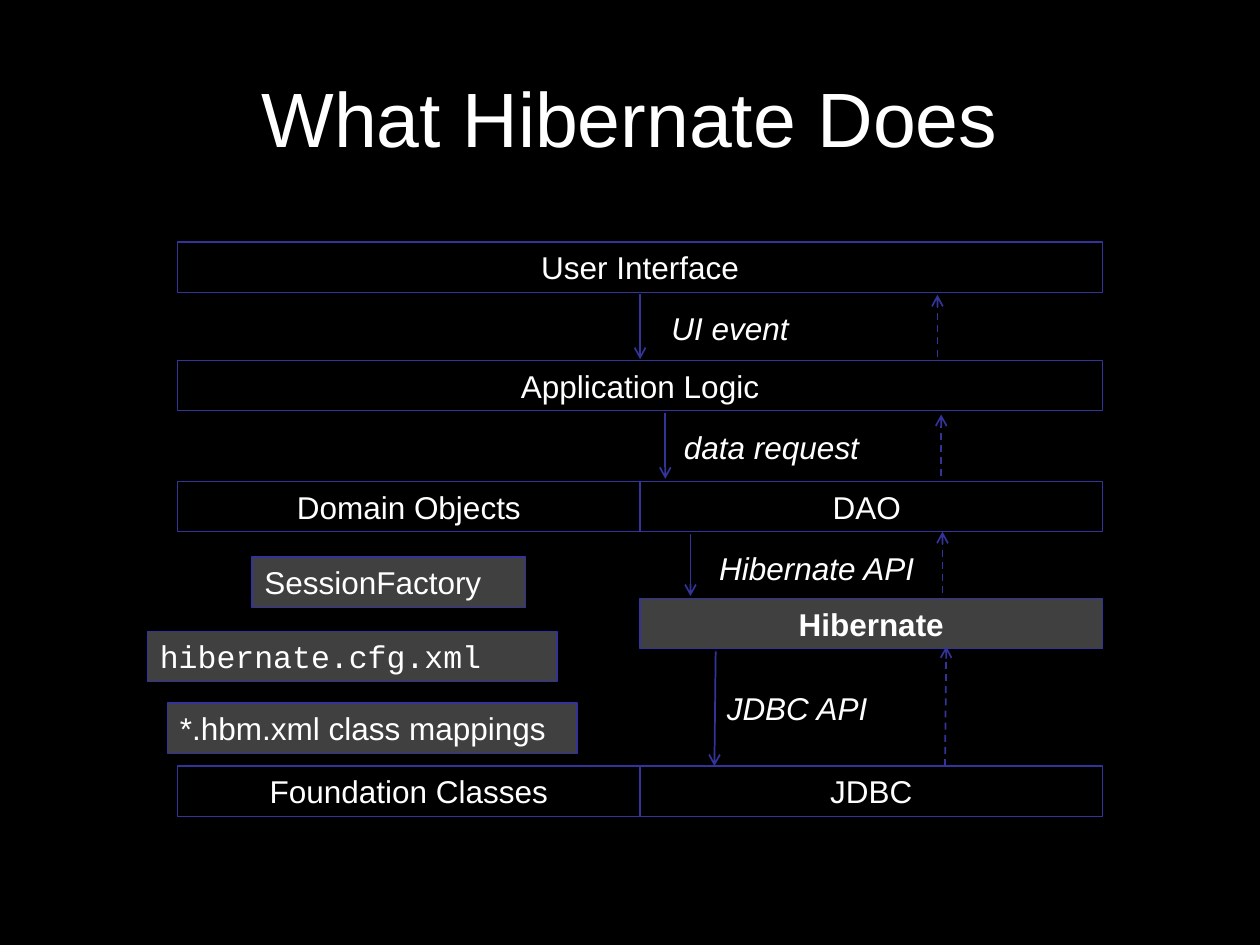
from lxml import etree
from pptx import Presentation
from pptx.dml.color import RGBColor
from pptx.enum.dml import MSO_LINE
from pptx.enum.shapes import MSO_CONNECTOR, MSO_SHAPE
from pptx.enum.text import MSO_ANCHOR, PP_ALIGN
from pptx.oxml.ns import qn
from pptx.util import Inches, Pt

RECT, LINE = MSO_SHAPE.RECTANGLE, MSO_CONNECTOR.STRAIGHT
DASH, MIDDLE = MSO_LINE.DASH, MSO_ANCHOR.MIDDLE
CENTER, LEFT = PP_ALIGN.CENTER, PP_ALIGN.LEFT

COLORS = {"back": "000000", "text": "FFFFFF", "edge": "333399", "gray": "404040"}
SANS, MONO = "Arial", "Courier New"
TITLE = "What Hibernate Does"

# Layer grid: two columns, one row top per layer
X0, COL, BOX_H = 1.41, 3.67, 0.4
ROWS = [1.92, 2.86, 3.82, 4.75, 6.08]

# text, row, first column, columns spanned
LAYERS = [
    ("User Interface", 0, 0, 2),
    ("Application Logic", 1, 0, 2),
    ("Domain Objects", 2, 0, 1),
    ("DAO ", 2, 1, 1),
    ("Hibernate", 3, 1, 1),
    ("JDBC", 4, 1, 1),
    ("Foundation Classes", 4, 0, 1),
]
# text, left, top, width, font
FILES = [
    ("SessionFactory", 2, 4.42, 2.17, SANS),
    ("hibernate.cfg.xml", 1.17, 5.01, 3.25, MONO),
    ("*.hbm.xml class mappings", 1.33, 5.58, 3.25, SANS),
]
# text, left, top, width
CALLS = [
    ("UI event", 5.23, 2.4, 1.3),
    ("data request", 5.33, 3.35, 1.62),
    ("Hibernate API", 5.61, 4.31, 1.89),
    ("JDBC API", 5.67, 5.42, 1.7),
]
# start x, start y, end x, end y
DOWN = [
    (5.08, 2.33, 5.08, 2.85),
    (5.28, 3.28, 5.28, 3.8),
    (5.48, 4.24, 5.48, 4.73),
    (5.68, 5.17, 5.67, 6.08),
]
UP = [
    (7.44, 2.83, 7.44, 2.34),
    (7.47, 3.78, 7.47, 3.29),
    (7.48, 4.71, 7.48, 4.22),
    (7.5, 6.08, 7.51, 5.13),
]


def rgb(name):
    return RGBColor.from_string(COLORS[name])


def write(shape, text, align=LEFT, size=18, font=SANS, bold=False, italic=False):
    frame = shape.text_frame
    frame.word_wrap = True
    frame.vertical_anchor = MIDDLE
    frame.text = text
    para = frame.paragraphs[0]
    para.alignment = align
    face = para.runs[0].font
    face.name, face.size = font, Pt(size)
    face.bold, face.italic = bold, italic
    face.color.rgb = rgb("text")


def label(slide, text, x, y, w, h=BOX_H, **style):
    box = slide.shapes.add_textbox(*map(Inches, (x, y, w, h)))
    write(box, text, **style)


def block(slide, text, x, y, w, fill=None, **style):
    box = slide.shapes.add_shape(RECT, *map(Inches, (x, y, w, BOX_H)))
    box.shadow.inherit = False
    if fill:
        box.fill.solid()
        box.fill.fore_color.rgb = rgb(fill)
    else:
        box.fill.background()
    box.line.color.rgb = rgb("edge")
    box.line.width = Pt(0.75)
    write(box, text, **style)


def arrow(slide, ends, dash=None):
    link = slide.shapes.add_connector(LINE, *map(Inches, ends))
    link.line.color.rgb = rgb("edge")
    link.line.width = Pt(1)
    if dash:
        link.line.dash_style = dash
    etree.SubElement(link.line._get_or_add_ln(), qn("a:tailEnd"), type="arrow")
    etree.SubElement(link._element.spPr, qn("a:effectLst"))


def main():
    deck = Presentation()
    deck.slide_width, deck.slide_height = Inches(10), Inches(7.5)
    slide = deck.slides.add_slide(deck.slide_layouts[6])
    slide.background.fill.solid()
    slide.background.fill.fore_color.rgb = rgb("back")

    label(slide, TITLE, 0.5, 0.3, 9, 1.25, align=CENTER, size=44)
    for text, row, col, span in LAYERS:
        core = text == "Hibernate"
        block(slide, text, X0 + col * COL, ROWS[row], span * COL,
              fill="gray" if core else None, align=CENTER, bold=core)
    for text, x, y, w, font in FILES:
        block(slide, text, x, y, w, fill="gray", font=font)
    for text, x, y, w in CALLS:
        label(slide, text, x, y, w, italic=True)
    for ends in DOWN:
        arrow(slide, ends)
    for ends in UP:
        arrow(slide, ends, DASH)
    deck.save("out.pptx")


if __name__ == "__main__":
    main()
